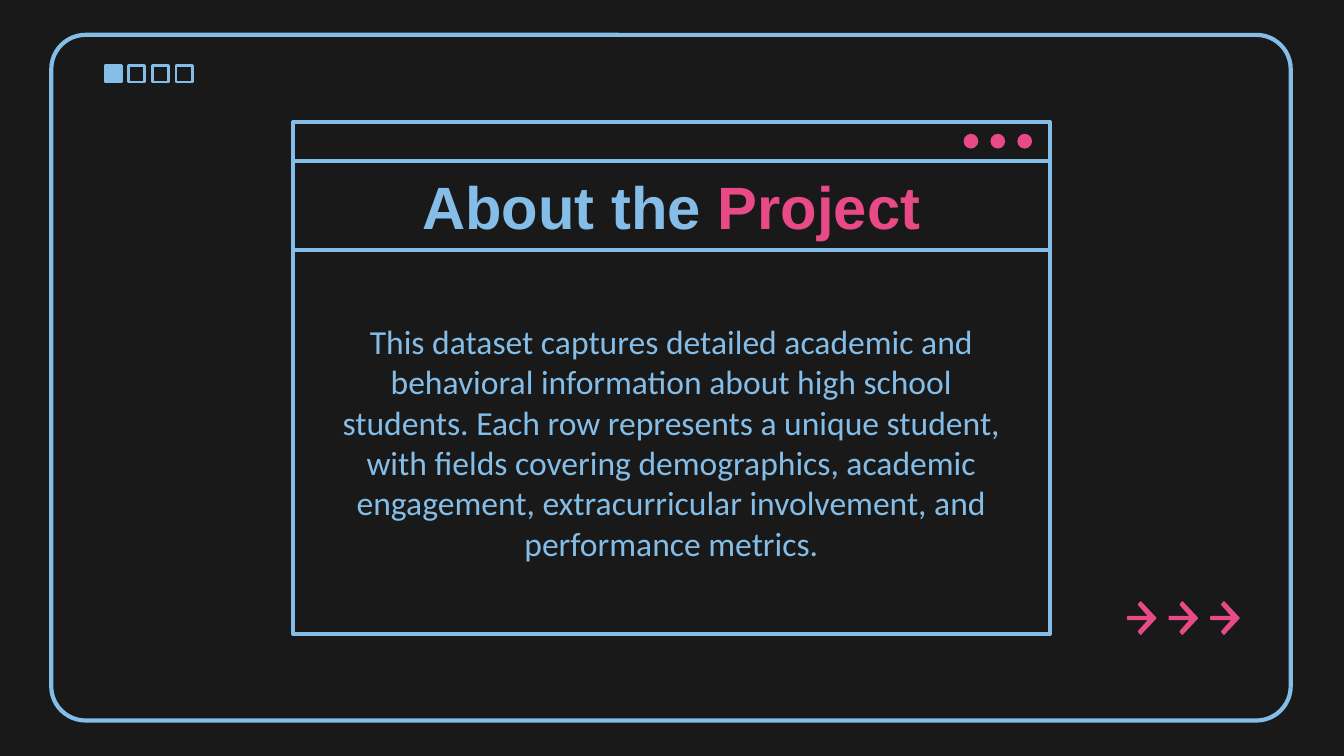
from pptx import Presentation
from pptx.dml.color import RGBColor
from pptx.enum.shapes import MSO_SHAPE
from pptx.enum.text import MSO_ANCHOR, PP_ALIGN
from pptx.util import Pt

RECT, ROUND, OVAL = MSO_SHAPE.RECTANGLE, MSO_SHAPE.ROUNDED_RECTANGLE, MSO_SHAPE.OVAL
MIDDLE, CENTER = MSO_ANCHOR.MIDDLE, PP_ALIGN.CENTER

COLORS = {"bg": "191919", "blue": "84BDE7", "pink": "E84987"}
TITLE = {"name": "Arial", "size": Pt(32), "bold": True}
BODY = {"name": "Calibri", "size": Pt(18), "bold": False}
ARROW = [(7, 0), (5.8, 1.4), (11.5, 7.9), (0, 7.9), (0, 9.4),
         (11.5, 9.4), (5.8, 15.9), (7, 17.3), (15.1, 8.65)]
WIN_X, WIN_W = 157, 405.4


class Deck:
    """Draws outlined window elements on the current slide."""

    def __init__(self, prs):
        self.s = prs.slides.add_slide(prs.slide_layouts[6])
        fill = self.s.background.fill
        fill.solid()
        fill.fore_color.rgb = self.color("bg")

    def color(self, name):
        return RGBColor.from_string(COLORS[name])

    def paint(self, sp, fill, line, width):
        sp.shadow.inherit = False
        if fill:
            sp.fill.solid()
            sp.fill.fore_color.rgb = self.color(fill)
        else:
            sp.fill.background()
        if line:
            sp.line.color.rgb = self.color(line)
            sp.line.width = Pt(width)
        else:
            sp.line.fill.background()
        return sp

    def shape(self, kind, x, y, w, h, fill=None, line="blue", width=2.25):
        sp = self.s.shapes.add_shape(kind, Pt(x), Pt(y), Pt(w), Pt(h))
        return self.paint(sp, fill, line, width)

    def panel(self, y, h, runs, font, side):
        tf = self.shape(RECT, WIN_X, y, WIN_W, h).text_frame
        frame = {"word_wrap": True, "vertical_anchor": MIDDLE,
                 "margin_left": Pt(side), "margin_right": Pt(side),
                 "margin_top": Pt(7.2), "margin_bottom": Pt(7.2)}
        for key, value in frame.items():
            setattr(tf, key, value)
        p = tf.paragraphs[0]
        p.alignment = CENTER
        for text, color in runs:
            r = p.add_run()
            r.text = text
            for key, value in font.items():
                setattr(r.font, key, value)
            r.font.color.rgb = self.color(color)
        return p

    def arrow(self, x, y):
        points = [(Pt(x + dx), Pt(y + dy)) for dx, dy in ARROW]
        builder = self.s.shapes.build_freeform(*points[0])
        builder.add_line_segments(points[1:], close=True)
        self.paint(builder.convert_to_shape(), "pink", "pink", 0.75)


def main():
    prs = Presentation()
    prs.slide_width, prs.slide_height = Pt(720), Pt(405)
    deck = Deck(prs)

    for i in range(4):
        deck.shape(RECT, 56.2 + 12.7 * i, 35.2, 8.7, 8.7,
                   fill=None if i else "blue", width=1.5)
    deck.shape(ROUND, 27.5, 18.7, 664, 367.3).adjustments[0] = 0.05

    deck.panel(86.3, 47.6, [("About the ", "blue"), ("Project", "pink")], TITLE, 7.2)
    body = ("This dataset captures detailed academic and behavioral information "
            "about high school students. Each row represents a unique student, "
            "with fields covering demographics, academic engagement, "
            "extracurricular involvement, and performance metrics.")
    deck.panel(133.9, 205.8, [(body, "blue")], BODY, 21.6).space_after = Pt(16)

    deck.shape(RECT, WIN_X, 65.4, WIN_W, 20.9)
    for i in range(3):
        deck.shape(OVAL, 516.2 + 14.4 * i, 71.7, 7.9, 7.9, fill="pink", line=None)
        deck.arrow(604.1 + 22.3 * i, 322.5)

    prs.save("out.pptx")


if __name__ == "__main__":
    main()
